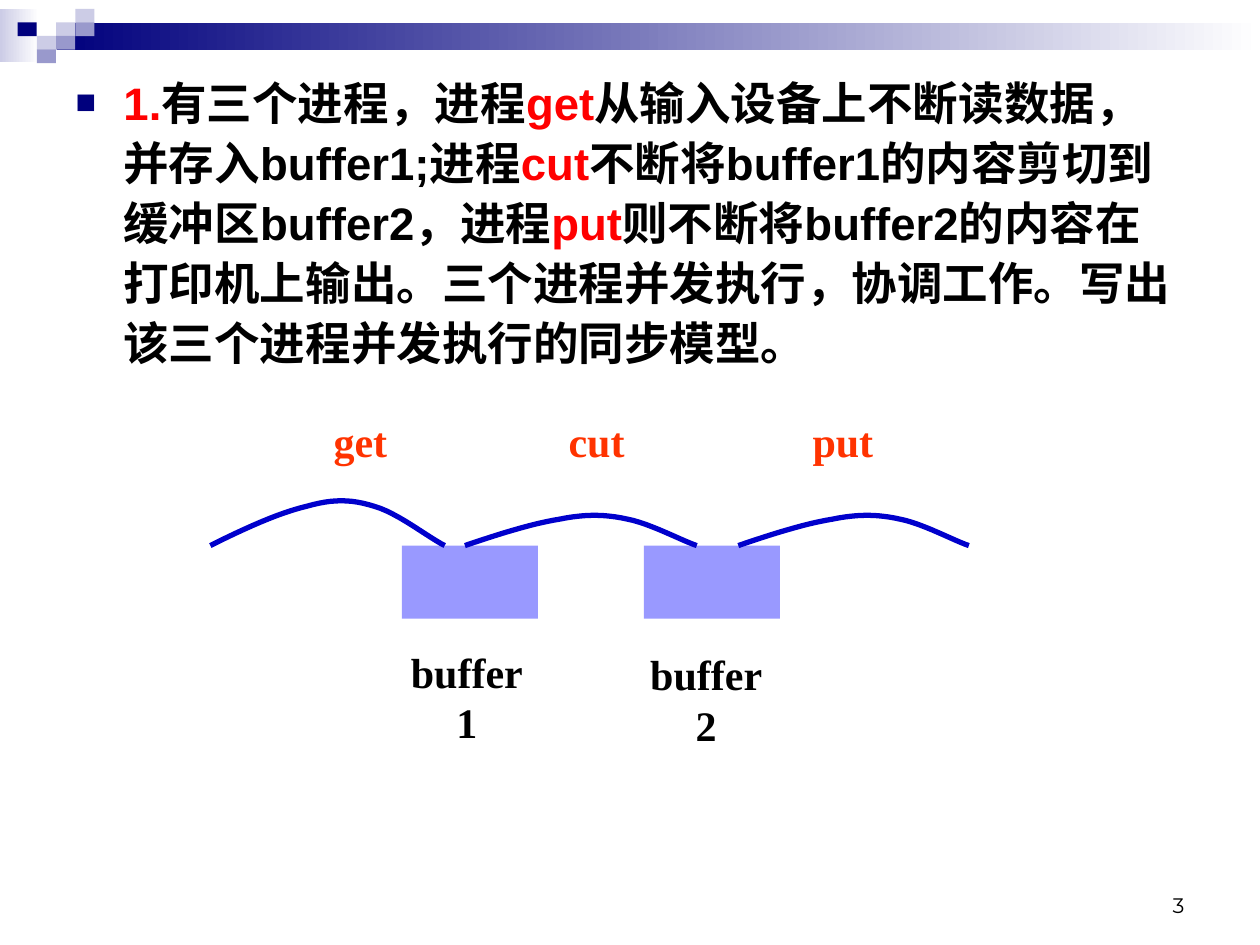
from pptx import Presentation
from pptx.dml.color import RGBColor
from pptx.enum.shapes import MSO_SHAPE
from pptx.enum.text import MSO_ANCHOR, MSO_AUTO_SIZE, PP_ALIGN
from pptx.oxml import parse_xml
from pptx.oxml.ns import nsdecls
from pptx.util import Inches, Pt

NAVY, LILAC, MAUVE = "00007D", "CCCCE6", "9999CC"
RED, BLACK, WHITE = "FF0000", "000000", "FFFFFF"

BANDS = [(0, 0.07, 0.31, 0.42, LILAC), (0.45, 0.18, 9.55, 0.22, NAVY)]
# Header mosaic: column, row, colour
TILE_W, TILE_H = 0.15, 0.11
TILES = [(2, 1, LILAC), (3, 0, LILAC), (3, 1, MAUVE), (1, 2, LILAC),
         (0, 1, NAVY), (2, 2, MAUVE), (1, 3, MAUVE)]

QUESTION = [
    ("1.", RED), ("有三个进程，进程", BLACK),
    ("get", RED), ("从输入设备上不断读数据，并存入buffer1;进程", BLACK),
    ("cut", RED), ("不断将buffer1的内容剪切到缓冲区buffer2，进程", BLACK),
    ("put", RED), ("则不断将buffer2的内容在打印机上输出。三个进程并发执行，"
                   "协调工作。写出该三个进程并发执行的同步模型。", BLACK),
]

BASE_Y = 4.33
# Process: name, label left, label width, arc left, arc width, arc height
PROCESSES = [("get", 2.36, 1, 1.67, 1.86, 0.37),
             ("cut", 4.11, 1.25, 3.69, 1.84, 0.25),
             ("put", 6.19, 1, 5.86, 1.83, 0.25)]
# Buffer: name, box left, label left, label top
BUFFERS = [("buffer1", 3.19, 3.08, 5.08), ("buffer2", 5.11, 4.98, 5.1)]
# Bezier control points of an arc, as shares of its width and height
ARC = [(0, 0), (0.14, 0.35), (0.29, 0.7), (0.41, 0.84), (0.52, 1),
       (0.6, 1), (0.7, 0.84), (0.8, 0.7), (0.94, 0.14), (1, 0)]
STEPS = 12


def rgb(value):
    return RGBColor.from_string(value)


def add_rect(left, top, width, height, color, fade=False):
    sp = slide.shapes.add_shape(MSO_SHAPE.RECTANGLE, Inches(left), Inches(top),
                                Inches(width), Inches(height))
    sp.shadow.inherit = False
    sp.line.fill.background()
    if fade:
        sp.fill.gradient()
        sp.fill.gradient_angle = 0
        for stop, value in zip(sp.fill.gradient_stops, (color, WHITE)):
            stop.color.rgb = rgb(value)
    else:
        sp.fill.solid()
        sp.fill.fore_color.rgb = rgb(color)


def add_label(text, left, top, width, color, size=24, font="Times New Roman",
              bold=True, align=PP_ALIGN.CENTER, wrap=True):
    tf = slide.shapes.add_textbox(Inches(left), Inches(top), Inches(width),
                                  Inches(0.5)).text_frame
    tf.word_wrap = wrap
    p = tf.paragraphs[0]
    p.text, p.alignment = text, align
    p.font.name, p.font.size, p.font.bold = font, Pt(size), bold
    p.font.color.rgb = rgb(color)
    return tf


def arc_points():
    """Sample the chained cubic curves of ARC."""
    for i in range(0, len(ARC) - 1, 3):
        for step in range(1, STEPS + 1):
            t = step / STEPS
            weights = ((1 - t) ** 3, 3 * t * (1 - t) ** 2, 3 * t * t * (1 - t), t ** 3)
            yield tuple(sum(w * pt[axis] for w, pt in zip(weights, ARC[i:i + 4]))
                        for axis in (0, 1))


def add_arc(left, width, height):
    builder = slide.shapes.build_freeform(Inches(left), Inches(BASE_Y))
    builder.add_line_segments([(Inches(left + x * width), Inches(BASE_Y - y * height))
                               for x, y in arc_points()], close=False)
    sp = builder.convert_to_shape()
    sp.shadow.inherit = False
    sp.fill.background()
    sp.line.color.rgb = rgb("0000CC")
    sp.line.width = Pt(3)


def add_question(body):
    body.left, body.top, body.width, body.height = map(Inches, (0.5, 0.5, 9, 6.42))
    tf = body.text_frame
    tf.auto_size = MSO_AUTO_SIZE.NONE
    p = tf.paragraphs[0]
    p.line_spacing = 1.1
    p.space_before = p.space_after = Pt(4.9)
    p.font.name, p.font.size, p.font.bold = "Arial", Pt(26), True
    for text, color in QUESTION:
        r = p.add_run()
        r.text = text
        r.font.color.rgb = rgb(color)
    pPr = p._p.get_or_add_pPr()
    pPr.set("marL", str(Inches(0.38)))
    pPr.set("indent", str(-Inches(0.38)))
    bullet = (f'<a:buClr {nsdecls("a")}><a:srgbClr val="{NAVY}"/></a:buClr>',
              f'<a:buSzPct {nsdecls("a")} val="75000"/>',
              f'<a:buFont {nsdecls("a")} typeface="Arial"/>',
              f'<a:buChar {nsdecls("a")} char="■"/>')
    defaults = pPr.find("{*}defRPr")
    for xml in bullet:
        defaults.addprevious(parse_xml(xml))


prs = Presentation()
prs.slide_width, prs.slide_height = Inches(10), Inches(7.5)
slide = prs.slides.add_slide(prs.slide_layouts[1])
title = slide.shapes.title
title._element.getparent().remove(title._element)

for band in BANDS:
    add_rect(*band, fade=True)
for col, row, color in TILES:
    add_rect(0.14 + col * 0.153, 0.07 + row * 0.107, TILE_W, TILE_H, color)

add_question(slide.placeholders[1])
number = add_label("3", 7.17, 6.83, 2.33, BLACK, 12, "Montserrat", False, PP_ALIGN.RIGHT)
number.vertical_anchor = MSO_ANCHOR.BOTTOM

for name, box_left, label_left, label_top in BUFFERS:
    add_rect(box_left, BASE_Y, 1.08, 0.58, "9999FF")
    add_label(name, label_left, label_top, 1.25, BLACK, wrap=False)
for name, label_left, label_width, *arc in PROCESSES:
    add_arc(*arc)
    add_label(name, label_left, 3.25, label_width, "FF3300")

prs.save("out.pptx")
